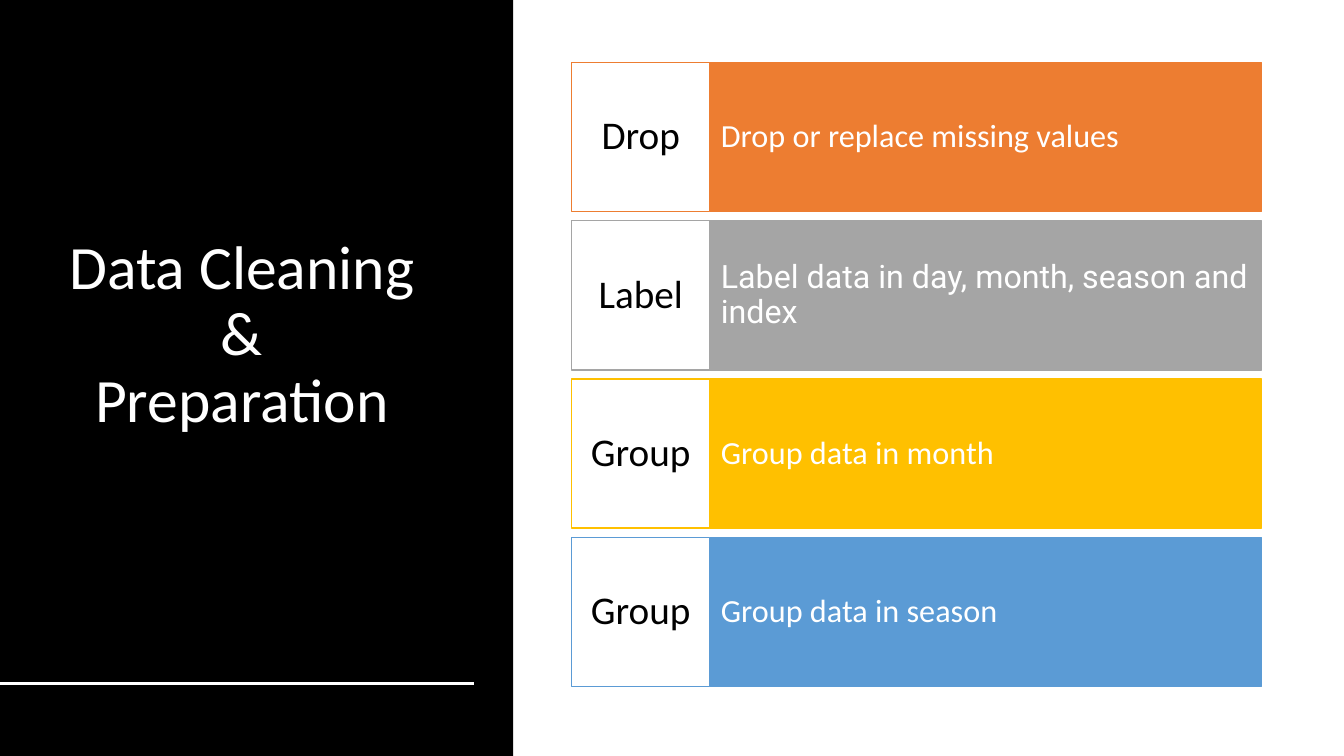
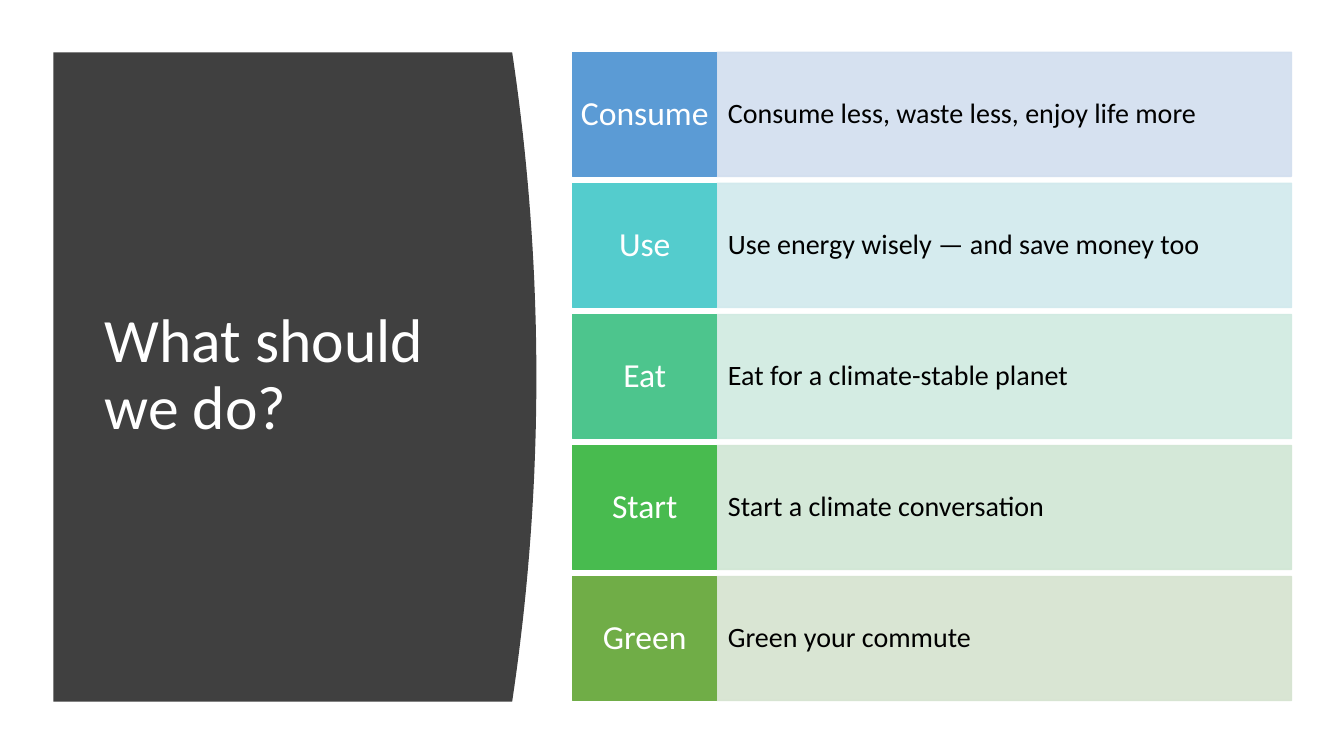
from dataclasses import dataclass
from typing import Any

from lxml import etree
from pptx import Presentation
from pptx.dml.color import RGBColor
from pptx.enum import shapes as kinds, text as layout
from pptx.oxml.ns import qn
from pptx.util import Inches, Pt

FONT = "Calibri"
WHITE = RGBColor(0xFF, 0xFF, 0xFF)
BLACK = RGBColor(0x00, 0x00, 0x00)
CHARCOAL = RGBColor(0x40, 0x40, 0x40)
ORANGE = RGBColor(0xED, 0x7D, 0x31)
GREY = RGBColor(0xA5, 0xA5, 0xA5)
GOLD = RGBColor(0xFF, 0xC0, 0x00)
BLUE = RGBColor(0x5B, 0x9B, 0xD5)
TURQUOISE = RGBColor(0x54, 0xCC, 0xCD)
MINT = RGBColor(0x4D, 0xC5, 0x8D)
GREEN = RGBColor(0x48, 0xBB, 0x4F)
OLIVE = RGBColor(0x70, 0xAD, 0x47)
PALE_BLUE = RGBColor(0xD2, 0xDE, 0xEF)
PALE_TURQUOISE = RGBColor(0xD1, 0xE9, 0xED)
PALE_MINT = RGBColor(0xD0, 0xEA, 0xE1)
PALE_GREEN = RGBColor(0xD0, 0xE6, 0xD4)
PALE_OLIVE = RGBColor(0xD5, 0xE3, 0xCF)


@dataclass(frozen=True)
class Box:
    left: float
    top: float
    width: float
    height: float

    def lengths(self) -> list[int]:
        return [Inches(v) for v in (self.left, self.top, self.width, self.height)]


@dataclass(frozen=True)
class Row:
    label: str
    detail: str
    label_fill: RGBColor
    detail_fill: RGBColor
    line: RGBColor
    font: str = FONT


@dataclass(frozen=True)
class RowStyle:
    """Geometry and type of a stack of label and detail rows."""
    left: float
    top: float
    label_width: float
    detail_width: float
    height: float
    pitch: float
    label_size: int
    detail_size: int
    label_color: RGBColor
    detail_color: RGBColor
    detail_opacity: int = 100


def set_values(target: Any, values: dict[str, Any]) -> None:
    for name, value in values.items():
        setattr(target, name, value)


def write_text(shape: Any, text: str, size: int, color: RGBColor,
               align: Any, font: str = FONT, wrap: bool = True) -> None:
    frame = shape.text_frame
    set_values(frame, {"word_wrap": wrap, "auto_size": layout.MSO_AUTO_SIZE.NONE,
                       "vertical_anchor": layout.MSO_ANCHOR.MIDDLE})
    paragraph = frame.paragraphs[0]
    paragraph.text = text
    set_values(paragraph, {"alignment": align, "line_spacing": 0.9})
    for run in paragraph.runs:
        set_values(run.font, {"name": font, "size": Pt(size)})
        run.font.color.rgb = color


def paint(shape: Any, fill: RGBColor, line: RGBColor | None = None,
          opacity: int = 100) -> None:
    shape.shadow.inherit = False
    shape.fill.solid()
    shape.fill.fore_color.rgb = fill
    if line is None:
        shape.line.fill.background()
    else:
        shape.line.color.rgb = line
        shape.line.width = Pt(1)
    if opacity < 100:
        for color in shape.element.spPr.iter(qn("a:srgbClr")):
            etree.SubElement(color, qn("a:alpha"), val=str(opacity * 1000))


def add_title(slide: Any, text: str, box: Box, align: Any) -> None:
    """Place the title in front of the panel already drawn."""
    title = slide.shapes.title
    names = ("left", "top", "width", "height")
    set_values(title, dict(zip(names, box.lengths())))
    write_text(title, text, 44, WHITE, align)
    title.element.getparent().append(title.element)


def add_cell(group: Any, box: Box, fill: RGBColor, line: RGBColor,
             inset: float, opacity: int = 100) -> Any:
    cell = group.shapes.add_shape(kinds.MSO_SHAPE.RECTANGLE, *box.lengths())
    paint(cell, fill, line, opacity)
    set_values(cell.text_frame, {"margin_left": Inches(inset),
                                 "margin_right": Inches(inset)})
    return cell


def add_rows(slide: Any, rows: list[Row], style: RowStyle) -> None:
    group = slide.shapes.add_group_shape()
    for index, row in enumerate(rows):
        top = style.top + index * style.pitch
        detail_box = Box(style.left + style.label_width, top,
                         style.detail_width, style.height)
        label_box = Box(style.left, top, style.label_width, style.height)
        detail = add_cell(group, detail_box, row.detail_fill,
                          row.detail_fill, 0.11, style.detail_opacity)
        write_text(detail, row.detail, style.detail_size, style.detail_color,
                   layout.PP_ALIGN.LEFT, row.font)
        label = add_cell(group, label_box, row.label_fill, row.line, 0.07)
        write_text(label, row.label, style.label_size, style.label_color,
                   layout.PP_ALIGN.CENTER, wrap=False)


def add_curved_panel(slide: Any, box: Box, bulge: float) -> None:
    """Draw a rectangle whose right side bows outward as a parabola."""
    steps = 40
    edge = [(box.left + box.width + bulge * (1 - (2 * i / steps - 1) ** 2),
             box.top + box.height * i / steps) for i in range(steps + 1)]
    outline = edge + [(box.left, box.top + box.height)]
    builder = slide.shapes.build_freeform(
        Inches(box.left), Inches(box.top), scale=1.0)
    builder.add_line_segments([(Inches(x), Inches(y)) for x, y in outline])
    paint(builder.convert_to_shape(), CHARCOAL)


def add_rule(slide: Any, y: float, end: float) -> None:
    rule = slide.shapes.add_connector(
        kinds.MSO_CONNECTOR.STRAIGHT, 0, Inches(y), Inches(end), Inches(y))
    rule.line.color.rgb = WHITE
    rule.line.width = Pt(2)
    etree.SubElement(rule.element.spPr, qn("a:effectLst"))


def build_cleaning(slide: Any) -> None:
    panel = slide.shapes.add_shape(kinds.MSO_SHAPE.RECTANGLE,
                                   *Box(0, 0, 5.09, 7.5).lengths())
    paint(panel, BLACK)
    add_title(slide, "Data Cleaning &\nPreparation", Box(0.45, 0.62, 3.9, 5.42),
              layout.PP_ALIGN.CENTER)
    add_rule(slide, 6.78, 4.7)
    rows = [
        Row("Drop", "Drop or replace missing values", WHITE, ORANGE, ORANGE),
        Row("Label", "Label data in day, month, season and index",
            WHITE, GREY, GREY, "Roboto"),
        Row("Group", "Group data in month", WHITE, GOLD, GOLD),
        Row("Group", "Group data in season", WHITE, BLUE, BLUE),
    ]
    add_rows(slide, rows, RowStyle(
        left=5.67, top=0.62, label_width=1.37, detail_width=5.47, height=1.48,
        pitch=1.57, label_size=28, detail_size=23,
        label_color=BLACK, detail_color=WHITE))


def build_actions(slide: Any) -> None:
    add_curved_panel(slide, Box(0.53, 0.52, 4.55, 6.44), 0.24)
    add_title(slide, "What should we do?", Box(0.94, 1.11, 3.74, 5.24),
              layout.PP_ALIGN.LEFT)
    rows = [
        Row("Consume", "Consume less, waste less, enjoy life more",
            BLUE, PALE_BLUE, BLUE),
        Row("Use", "Use energy wisely — and save money too",
            TURQUOISE, PALE_TURQUOISE, TURQUOISE),
        Row("Eat", "Eat for a climate-stable planet", MINT, PALE_MINT, MINT),
        Row("Start", "Start a climate conversation", GREEN, PALE_GREEN, GREEN),
        Row("Green", "Green your commute", OLIVE, PALE_OLIVE, OLIVE),
    ]
    add_rows(slide, rows, RowStyle(
        left=5.68, top=0.52, label_width=1.43, detail_width=5.7, height=1.23,
        pitch=1.3, label_size=24, detail_size=20,
        label_color=WHITE, detail_color=BLACK, detail_opacity=90))


def main() -> None:
    presentation = Presentation()
    set_values(presentation, {"slide_width": Inches(13.33),
                              "slide_height": Inches(7.5)})
    title_only = presentation.slide_layouts.get_by_name("Title Only")
    for build in (build_cleaning, build_actions):
        build(presentation.slides.add_slide(title_only))
    presentation.save("out.pptx")


if __name__ == "__main__":
    main()
